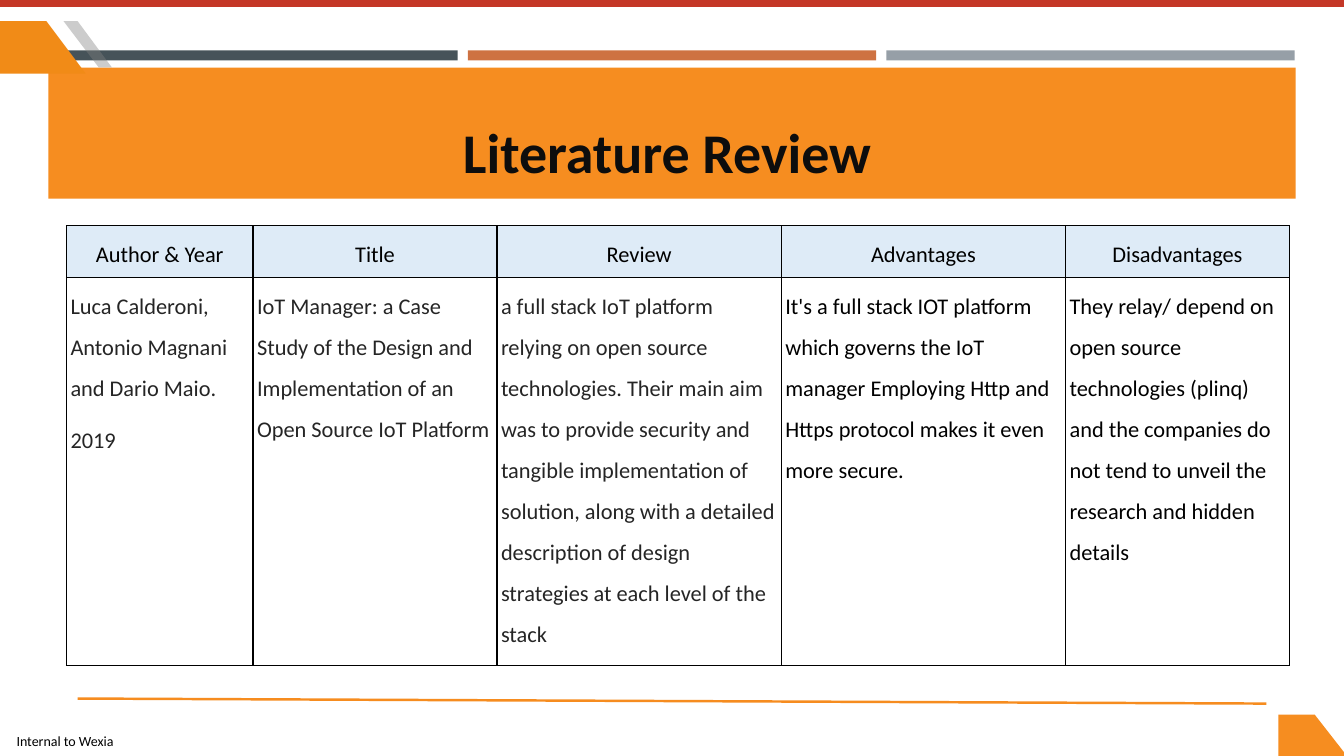
from dataclasses import dataclass

import lxml.etree
import pptx
import pptx.dml.color
import pptx.enum.shapes
import pptx.enum.text
import pptx.oxml
import pptx.oxml.ns
import pptx.util

Inches = pptx.util.Inches
Pt = pptx.util.Pt
qn = pptx.oxml.ns.qn
ALIGN = pptx.enum.text.PP_ALIGN
ANCHOR = pptx.enum.text.MSO_ANCHOR


@dataclass(frozen=True)
class Theme:
    font: str = "Calibri"
    title_size: int = 40
    table_size: int = 16
    footer_size: int = 10
    black: str = "000000"
    title: str = "0D0D0D"
    body: str = "252525"
    header: str = "DEEBF7"
    orange: str = "F68D20"
    corner: str = "F18B17"
    rule: str = "F68C1F"
    red: str = "C43727"
    slate: str = "465359"
    copper: str = "CE7242"
    steel: str = "969FA7"
    shade: str = "808080"


@dataclass(frozen=True)
class Bar:
    left: float
    top: float
    width: float
    height: float
    color: str


@dataclass(frozen=True)
class Outline:
    points: tuple[tuple[float, float], ...]
    color: str
    opacity: int = 100


@dataclass(frozen=True)
class Column:
    heading: str
    width: float
    body: str
    color: str


THEME = Theme()

STRIPE_LEFT, STRIPE_STEP = 0.49, 4.15
STRIPES = [
    Bar(STRIPE_LEFT + index * STRIPE_STEP, 0.5, 4.05, 0.1, color)
    for index, color in enumerate((THEME.slate, THEME.copper, THEME.steel))
]
BARS = STRIPES + [
    Bar(0.48, 0.67, 12.37, 1.3, THEME.orange),
    Bar(0, 0, 13.33, 0.07, THEME.red),
]
OUTLINES = [
    Outline(((0.46, 0.21), (0, 0.21), (0, 0.73), (0.85, 0.73)), THEME.corner),
    Outline(((0.77, 0.21), (0.63, 0.21), (0.98, 0.67), (1.11, 0.67)), THEME.shade, 40),
    Outline(((13.04, 7.09), (12.68, 7.09), (12.68, 7.5), (13.36, 7.5)), THEME.orange),
]
COLUMNS = [
    Column("Author & Year", 1.85,
           "Luca Calderoni, Antonio Magnani and Dario Maio.\n2019", THEME.body),
    Column("Title", 2.42,
           "IoT Manager: a Case Study of the Design and Implementation of an "
           "Open Source IoT Platform", THEME.body),
    Column("Review", 2.82,
           "a full stack IoT platform relying on open source technologies. "
           "Their main aim was to provide security and tangible implementation "
           "of solution, along with a detailed description of design strategies "
           "at each level of the stack", THEME.body),
    Column("Advantages", 2.82,
           "It's a full stack IOT platform which governs the IoT manager "
           "Employing Http and Https protocol makes it even more secure.", THEME.black),
    Column("Disadvantages", 2.22,
           "They relay/ depend on open source technologies (plinq) and the "
           "companies do not tend to unveil the research and hidden details", THEME.black),
]
ROW_HEIGHTS = (0.51, 3.85)


def rgb(color: str) -> pptx.dml.color.RGBColor:
    return pptx.dml.color.RGBColor.from_string(color)


def paint(shape, color: str) -> None:
    """Give a shape a flat fill with no line or shadow."""
    shape.shadow.inherit = False
    shape.fill.solid()
    shape.fill.fore_color.rgb = rgb(color)
    shape.line.fill.background()


def format_paragraph(paragraph, size: int, color: str, alignment, bold: bool = False) -> None:
    paragraph.alignment = alignment
    for run in paragraph.runs:
        run.font.name = THEME.font
        run.font.size = Pt(size)
        run.font.bold = bold
        run.font.color.rgb = rgb(color)


def add_bar(slide, bar: Bar) -> None:
    shape = slide.shapes.add_shape(
        pptx.enum.shapes.MSO_SHAPE.RECTANGLE,
        Inches(bar.left), Inches(bar.top), Inches(bar.width), Inches(bar.height))
    paint(shape, bar.color)


def add_outline(slide, outline: Outline) -> None:
    points = [(Inches(x), Inches(y)) for x, y in outline.points]
    builder = slide.shapes.build_freeform(*points[0])
    builder.add_line_segments(points[1:], close=True)
    shape = builder.convert_to_shape()
    paint(shape, outline.color)
    if outline.opacity < 100:
        color = shape.element.spPr.find(qn("a:solidFill"))[0]
        lxml.etree.SubElement(color, qn("a:alpha"), val=str(outline.opacity * 1000))


def add_rule(slide) -> None:
    rule = slide.shapes.add_connector(
        pptx.enum.shapes.MSO_CONNECTOR.STRAIGHT,
        Inches(0.77), Inches(6.93), Inches(12.56), Inches(6.98))
    rule.line.color.rgb = rgb(THEME.rule)
    rule.line.width = Pt(1.75)
    lxml.etree.SubElement(rule.element.spPr, qn("a:effectLst"))


def add_footer(slide) -> None:
    box = slide.shapes.add_textbox(Inches(0), Inches(7.21), Inches(1.29), Inches(0.29))
    frame = box.text_frame
    frame.word_wrap = True
    frame.vertical_anchor = ANCHOR.MIDDLE
    frame.margin_left = frame.margin_right = frame.margin_top = frame.margin_bottom = 0
    frame.text = "Internal to Wexia"
    format_paragraph(frame.paragraphs[0], THEME.footer_size, THEME.black, ALIGN.CENTER)


def set_title(slide) -> None:
    title = slide.shapes.title
    title.left, title.top = Inches(0.43), Inches(0.45)
    title.width, title.height = Inches(12.37), Inches(1.26)
    frame = title.text_frame
    frame.text = "Literature Review"
    frame.word_wrap = True
    frame.vertical_anchor = ANCHOR.TOP
    frame.auto_size = pptx.enum.text.MSO_AUTO_SIZE.SHAPE_TO_FIT_TEXT
    paragraph = frame.paragraphs[0]
    paragraph.line_spacing = 2.0
    format_paragraph(paragraph, THEME.title_size, THEME.title, ALIGN.CENTER, bold=True)
    # Bring the title in front of the orange band.
    title.element.getparent().append(title.element)


def add_borders(cell) -> None:
    properties = cell._tc.get_or_add_tcPr()
    for side in ("a:lnL", "a:lnR", "a:lnT", "a:lnB"):
        line = lxml.etree.SubElement(properties, qn(side), w=str(Pt(1)))
        fill = lxml.etree.SubElement(line, qn("a:solidFill"))
        lxml.etree.SubElement(fill, qn("a:srgbClr"), val=THEME.black)


def fill_cell(cell, text: str, color: str, alignment) -> None:
    cell.margin_left = cell.margin_right = Inches(0.04)
    cell.margin_top = cell.margin_bottom = Inches(0.02)
    add_borders(cell)
    cell.text_frame.text = text
    for paragraph in cell.text_frame.paragraphs:
        paragraph.line_spacing = 1.5
        paragraph.space_after = Pt(8)
        format_paragraph(paragraph, THEME.table_size, color, alignment)


def add_review_table(slide) -> None:
    table = slide.shapes.add_table(
        len(ROW_HEIGHTS), len(COLUMNS), Inches(0.66), Inches(2.24),
        Inches(sum(column.width for column in COLUMNS)), Inches(sum(ROW_HEIGHTS))).table
    table.first_row = table.horz_banding = False
    for row, height in zip(table.rows, ROW_HEIGHTS):
        row.height = Inches(height)
    for index, column in enumerate(COLUMNS):
        table.columns[index].width = Inches(column.width)
        heading, body = table.cell(0, index), table.cell(1, index)
        fill_cell(heading, column.heading, THEME.black, ALIGN.CENTER)
        heading.fill.solid()
        heading.fill.fore_color.rgb = rgb(THEME.header)
        fill_cell(body, column.body, column.color, ALIGN.LEFT)
        body.fill.background()


def main() -> None:
    presentation = pptx.Presentation()
    presentation.slide_width, presentation.slide_height = Inches(13.33), Inches(7.5)
    slide = presentation.slides.add_slide(presentation.slide_layouts[5])
    for bar in BARS:
        add_bar(slide, bar)
    for outline in OUTLINES:
        add_outline(slide, outline)
    add_rule(slide)
    add_footer(slide)
    set_title(slide)
    add_review_table(slide)
    presentation.save("out.pptx")


if __name__ == "__main__":
    main()
